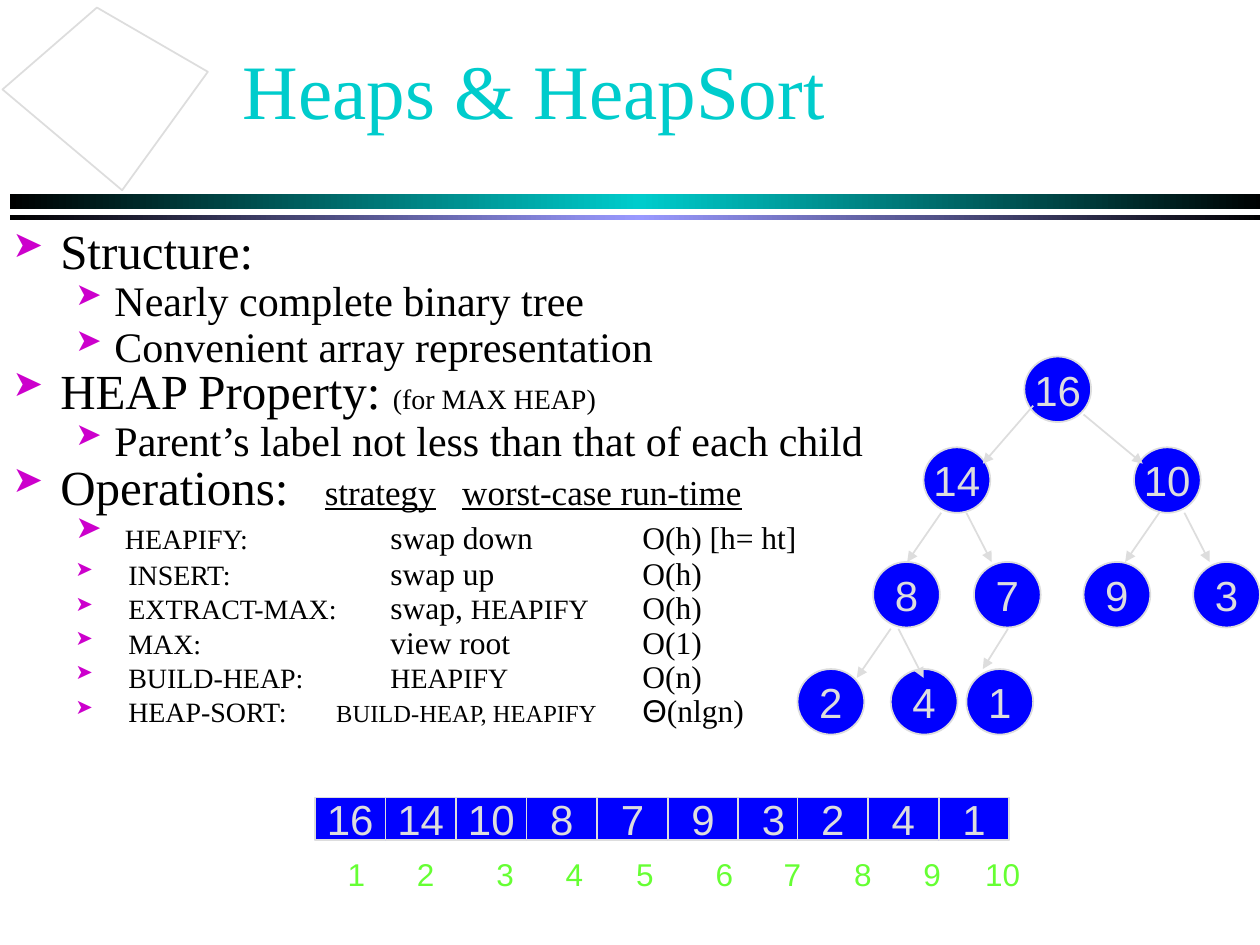
from copy import deepcopy

from pptx import Presentation
from pptx.dml.color import RGBColor
from pptx.enum import shapes, text
from pptx.oxml import parse_xml
from pptx.oxml.ns import nsdecls
from pptx.util import Inches, Pt

COLORS = {"black": "000000", "white": "FFFFFF", "teal": "00CCCC", "lilac": "9999FF",
          "grey": "DDDDDD", "blue": "0000FF", "purple": "CC00CC", "green": "66FF33"}
SERIF, SANS = "Times New Roman", "Arial"
OVAL, RECT = shapes.MSO_SHAPE.OVAL, shapes.MSO_SHAPE.RECTANGLE

# Each paragraph: kind, space before in points, runs of (text, size, extra format)
OUTLINE = [
    ("head", 0, [("Structure:", 28)]),
    ("sub", 6, [("Nearly complete binary tree", 24)]),
    ("sub", 6, [("Convenient array representation", 24)]),
    ("head", 4, [("HEAP Property: ", 28), ("(for MAX HEAP)", 16)]),
    ("sub", 6, [("Parent’s label not less than that of each child", 24)]),
    ("columns", 5, [("Operations:\t", 28),
                    ("strategy\tworst-case run-time", 20, {"underline": True})]),
    ("first_row", 4.5, [(" ", 24), ("HEAPIFY:\t", 16), ("swap down\tO(h) [h= ht]", 18)]),
    ("row", 4.5, [("INSERT:\t", 16), ("swap up\tO(h)", 18)]),
    ("row", 4.5, [("EXTRACT-MAX:\t", 16), ("swap, ", 18), ("HEAPIFY", 16), ("\tO(h)", 18)]),
    ("row", 4.5, [("MAX:\t", 16), ("view root\tO(1)", 18)]),
    ("row", 4.5, [("BUILD-HEAP:\tHEAPIFY", 16), ("\tO(n)", 18)]),
    ("last_row", 4.5, [("HEAP-SORT:\t", 16), ("BUILD-HEAP, HEAPIFY", 14), ("\t", 18),
                       ("Θ", 18, {"name": SANS}), ("(nlgn)", 18)]),
]
# Kind: left margin, hanging indent, tab stops (inches)
LAYOUTS = {
    "head": (0.38, 0.38, []),
    "columns": (0.38, 0.38, [2.48, 3.57]),
    "sub": (0.81, 0.31, []),
    "first_row": (0.81, 0.31, [3, 5]),
    "row": (0.92, 0.42, [3, 5]),
    "last_row": (0.92, 0.42, [2.57, 5]),
}
# Offsets from the tree's top left corner (inches)
TREE_LEVELS = [
    (0, [("16", 1.8)]),
    (0.72, [("14", 1), ("10", 2.67)]),
    (1.63, [("8", 0.6), ("7", 1.4), ("9", 2.27), ("3", 3.14)]),
    (2.48, [("2", 0), ("4", 0.74), ("1", 1.34)]),
]
TREE_EDGES = [
    (1.87, 0.39, 1.47, 0.85), (2.27, 0.46, 2.74, 0.85),
    (1.14, 1.24, 0.87, 1.63), (1.34, 1.24, 1.54, 1.63),
    (2.87, 1.24, 2.6, 1.63), (3.07, 1.24, 3.27, 1.63),
    (0.74, 2.16, 0.47, 2.55), (0.8, 2.16, 1.0, 2.55), (1.67, 2.16, 1.47, 2.48),
]
# Two runs of array cells: offset of the first cell, values
ARRAY_PARTS = [(0, [16, 14, 10, 8, 7, 9, 3]), (3.83, [2, 4, 1])]
INDEX_TABS = [0.62, 1.25, 1.8, 2.36, 2.99, 3.53, 4.09, 4.64, 5.2]


def rgb(name):
    return RGBColor.from_string(COLORS[name])


def set_attrs(obj, **values):
    for key, value in values.items():
        setattr(obj, key, value)


def add_run(p, content, size, color, **extra):
    r = p.add_run()
    r.text = content
    set_attrs(r.font, **{"size": Pt(size), "name": SERIF, **extra})
    r.font.color.rgb = rgb(color)
    return r


def add_tabs(p, stops, align="l"):
    if stops:
        tabs = "".join(f'<a:tab pos="{Inches(x)}" algn="{align}"/>' for x in stops)
        p._p.get_or_add_pPr().append(
            parse_xml(f'<a:tabLst {nsdecls("a")}>{tabs}</a:tabLst>'))


def add_text_frame(s, x, y, w, h):
    tf = s.shapes.add_textbox(Inches(x), Inches(y), Inches(w), Inches(h)).text_frame
    tf.word_wrap = True
    return tf


def add_rules(s, x, y, w):
    """Two horizontal bars that fade to black at both ends."""
    for dy, h, middle in ((0, 0.12, "teal"), (0.17, 0.04, "lilac")):
        sp = s.shapes.add_shape(RECT, Inches(x), Inches(y + dy), Inches(w), Inches(h))
        sp.shadow.inherit = False
        sp.line.fill.background()
        sp.fill.gradient()
        sp.fill.gradient_angle = 0
        stop_list = sp._element.spPr.find(".//{*}gsLst")
        stop_list.append(deepcopy(stop_list[0]))
        for stop, position, color in zip(sp.fill.gradient_stops, (0, 0.5, 1),
                                         ("black", middle, "black")):
            stop.position = position
            stop.color.rgb = rgb(color)


def add_corner_outline(s, x, y):
    points = [(Inches(x + dx), Inches(y + dy)) for dx, dy in
              ((0.95, 1.45), (0, 0.65), (0.75, 0), (1.63, 0.51))]
    builder = s.shapes.build_freeform(*points[0], scale=1.0)
    builder.add_line_segments(points[1:], close=True)
    style_shape(builder.convert_to_shape(), "white")


def style_shape(sp, fill):
    sp.shadow.inherit = False
    sp.fill.solid()
    sp.fill.fore_color.rgb = rgb(fill)
    sp.line.color.rgb = rgb("grey")
    sp.line.width = Pt(1)


def add_title(s, x, y, w, h):
    tf = add_text_frame(s, x, y, w, h)
    tf.vertical_anchor = text.MSO_ANCHOR.MIDDLE
    r = add_run(tf.paragraphs[0], "Heaps & HeapSort", 44, "teal")
    shadow = parse_xml(
        f'<a:effectLst {nsdecls("a")}><a:outerShdw dist="25400" dir="2700000">'
        f'<a:srgbClr val="{COLORS["black"]}"/></a:outerShdw></a:effectLst>')
    r.font._element.find("{*}solidFill").addnext(shadow)


def add_outline(s, x, y, w, h):
    tf = add_text_frame(s, x, y, w, h)
    for i, (kind, before, runs) in enumerate(OUTLINE):
        p = tf.add_paragraph() if i else tf.paragraphs[0]
        margin, hanging, stops = LAYOUTS[kind]
        set_attrs(p, line_spacing=0.7, space_before=Pt(before))
        pPr = p._p.get_or_add_pPr()
        pPr.set("marL", str(Inches(margin)))
        pPr.set("indent", str(-Inches(hanging)))
        for tag in (f'buClr {nsdecls("a")}><a:srgbClr val="{COLORS["purple"]}"/></a:buClr',
                    f'buSzPct {nsdecls("a")} val="75000"/',
                    f'buChar {nsdecls("a")} char="➤"/'):
            pPr.append(parse_xml(f"<a:{tag}>"))
        add_tabs(p, stops)
        for content, size, *extra in runs:
            add_run(p, content, size, "black", **(extra[0] if extra else {}))


def add_value(group, kind, value, x, y, w, h):
    """One numbered node or cell."""
    sp = group.shapes.add_shape(kind, Inches(x), Inches(y), Inches(w), Inches(h))
    style_shape(sp, "blue")
    set_attrs(sp.text_frame, word_wrap=False, vertical_anchor=text.MSO_ANCHOR.MIDDLE)
    p = sp.text_frame.paragraphs[0]
    p.alignment = text.PP_ALIGN.CENTER
    add_run(p, str(value), 24, "grey", name=SANS)


def add_tree(s, x, y):
    group = s.shapes.add_group_shape()
    for dy, nodes in TREE_LEVELS:
        for value, dx in nodes:
            add_value(group, OVAL, value, x + dx, y + dy, 0.53, 0.52)
    for x1, y1, x2, y2 in TREE_EDGES:
        edge = group.shapes.add_connector(
            shapes.MSO_CONNECTOR.STRAIGHT, Inches(x + x1), Inches(y + y1),
            Inches(x + x2), Inches(y + y2))
        edge.line.color.rgb = rgb("grey")
        edge.line.width = Pt(1)
        edge.line._get_or_add_ln().append(
            parse_xml(f'<a:tailEnd {nsdecls("a")} type="triangle"/>'))
        edge._element.spPr.append(parse_xml(f'<a:effectLst {nsdecls("a")}/>'))


def add_array(s, x, y):
    """Row of cells with their index numbers below."""
    group = s.shapes.add_group_shape()
    for dx, values in ARRAY_PARTS:
        for i, value in enumerate(values):
            add_value(group, RECT, value, x + dx + i * 0.56, y, 0.56, 0.34)
    p = add_text_frame(group, x + 0.16, y + 0.41, 5.59, 0.4).paragraphs[0]
    add_tabs(p, INDEX_TABS, "ctr")
    add_run(p, "\t".join(str(n) for n in range(1, 11)), 18, "green", name=SANS)


def main():
    prs = Presentation()
    set_attrs(prs, slide_width=Inches(10), slide_height=Inches(7.5))
    s = prs.slides.add_slide(prs.slide_layouts[6])
    add_rules(s, 0.08, 1.54, 9.99)
    add_corner_outline(s, 0.02, 0.06)
    add_title(s, 1.83, 0.08, 8.5, 1.25)
    add_outline(s, 0, 1.83, 8.08, 4.17)
    add_tree(s, 6.33, 2.83)
    add_array(s, 2.5, 6.33)
    prs.save("out.pptx")


if __name__ == "__main__":
    main()
